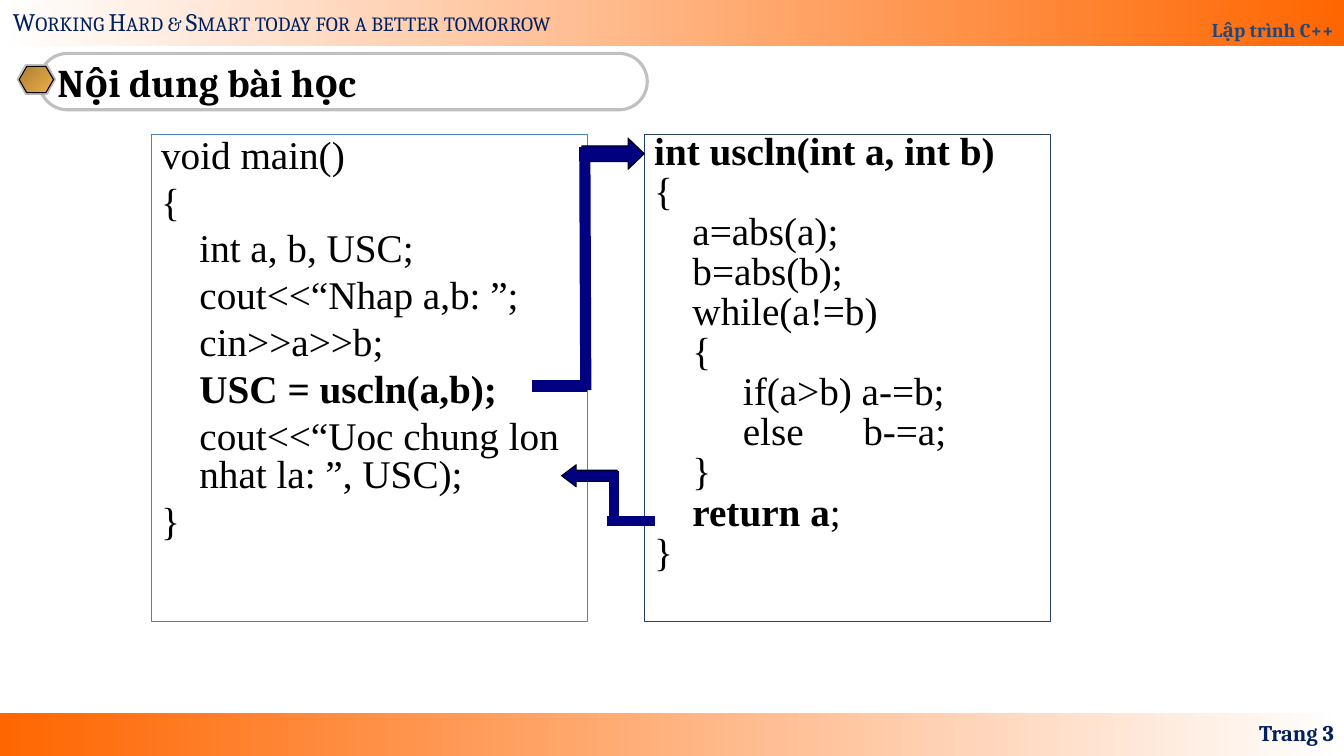
"""Build the slide tracing the call from main() to uscln() and back."""
from lxml import etree
from pptx import Presentation
from pptx.dml.color import RGBColor
from pptx.enum.shapes import MSO_CONNECTOR, MSO_SHAPE
from pptx.enum.text import MSO_ANCHOR, PP_ALIGN
from pptx.oxml.ns import qn
from pptx.util import Inches, Pt

RECT, ROUND, HEXAGON = MSO_SHAPE.RECTANGLE, MSO_SHAPE.ROUNDED_RECTANGLE, MSO_SHAPE.HEXAGON
LEFT_ARROW, RIGHT_ARROW = MSO_SHAPE.LEFT_ARROW, MSO_SHAPE.RIGHT_ARROW
STRAIGHT = MSO_CONNECTOR.STRAIGHT
TOP, MIDDLE, BOTTOM = MSO_ANCHOR.TOP, MSO_ANCHOR.MIDDLE, MSO_ANCHOR.BOTTOM
LEFT, RIGHT = PP_ALIGN.LEFT, PP_ALIGN.RIGHT

WHITE = RGBColor(0xFF, 0xFF, 0xFF)
BLACK = RGBColor(0x00, 0x00, 0x00)
ORANGE = RGBColor(0xFF, 0x66, 0x00)
BLUE = RGBColor(0x1F, 0x49, 0x7D)
DARK_BLUE = RGBColor(0x00, 0x20, 0x60)
NAVY = RGBColor(0x00, 0x00, 0x80)
MAIN_EDGE = RGBColor(0x4F, 0x81, 0xBD)
USCLN_EDGE = RGBColor(0x25, 0x40, 0x61)
SILVER = RGBColor(0xC0, 0xC0, 0xC0)
GRAY = RGBColor(0x80, 0x80, 0x80)
LIGHT_GRAY = RGBColor(0xE6, 0xE6, 0xE6)
STEEL = RGBColor(0x7D, 0x84, 0x96)
BRONZE = RGBColor(0xAB, 0x7E, 0x34)
GOLD = RGBColor(0xEF, 0xB0, 0x49)


def add_box(kind, at, colors=(), angle=0, edge=None, weight=0.75):
    s = slide.shapes.add_shape(kind, *[Inches(v) for v in at])
    s.shadow.inherit = False
    if len(colors) == 2:
        s.fill.gradient()
        s.fill.gradient_angle = angle
        for stop, color in zip(s.fill.gradient_stops, colors):
            stop.color.rgb = color
    elif colors:
        s.fill.solid()
        s.fill.fore_color.rgb = colors[0]
    else:
        s.fill.background()
    if edge is None:
        s.line.fill.background()
    else:
        s.line.color.rgb = edge
        s.line.width = Pt(weight)
    return s


def add_run(p, text, size, font, color, bold=False):
    r = p.add_run()
    r.text = text
    r.font.size = Pt(size)
    r.font.name = font
    r.font.color.rgb = color
    r.font.bold = bold
    return r


prs = Presentation()
prs.slide_width, prs.slide_height = Inches(13.33), Inches(7.5)
slide = prs.slides.add_slide(prs.slide_layouts[6])

add_box(RECT, (0, 7.07, 13.33, 0.43), (ORANGE, WHITE))
header = add_box(RECT, (0, 0, 13.33, 0.46), (WHITE, ORANGE))
motto = slide.shapes.add_textbox(Inches(0.03), Inches(0.01), Inches(5.9), Inches(0.4))
title = add_box(ROUND, (0.39, 0.53, 6.03, 0.56), edge=SILVER, weight=2.25)
title.adjustments[0] = 0.5
page = slide.shapes.add_textbox(Inches(10.22), Inches(7.07), Inches(3.11), Inches(0.4))

labels = [
    (header, "Lập trình C++", 14, BLUE, True, RIGHT, BOTTOM),
    (motto, "Working Hard & Smart today for a better tomorrow", 18, DARK_BLUE, False, LEFT, TOP),
    (title, "Nội dung bài học", 28, BLACK, True, LEFT, MIDDLE),
    (page, "Trang 3", 16, DARK_BLUE, True, RIGHT, MIDDLE),
]
for s, text, size, color, bold, align, anchor in labels:
    tf = s.text_frame
    tf.word_wrap = True
    tf.vertical_anchor = anchor
    p = tf.paragraphs[0]
    p.alignment = align
    add_run(p, text, size, "Cambria", color, bold)
header.text_frame.paragraphs[0].line_spacing = 1.8
motto.text_frame.paragraphs[0].runs[0].font._element.set("cap", "small")

for at, colors, edge in [
    ((0.17, 0.65, 0.38, 0.29), (GRAY,), None),
    ((0.17, 0.64, 0.38, 0.29), (LIGHT_GRAY, STEEL), SILVER),
    ((0.19, 0.66, 0.34, 0.26), (BRONZE, GOLD), BLACK),
]:
    s = add_box(HEXAGON, at, colors, 315, edge)
    s.adjustments[0] = 0.289

main_code = [
    [("void main()", False)],
    [("{", False)],
    [("\tint a, b, USC;", False)],
    [("\tcout<<“Nhap a,b: ”;", False)],
    [("\tcin>>a>>b;", False)],
    [("\tUSC = uscln(a,b);", True)],
    [("\tcout<<“Uoc chung lon nhat la: ”, USC);", False)],
    [("}", False)],
]
uscln_code = [
    [("int uscln(int a, int b)", True)],
    [("{", False)],
    [("\ta=abs(a);", False)],
    [("\tb=abs(b);", False)],
    [("\twhile(a!=b)", False)],
    [("\t{", False)],
    [("\t\tif(a>b) a-=b;", False)],
    [("\t\telse \t  b-=a;", False)],
    [("\t}", False)],
    [("\t", False), ("return a", True), (";", False)],
    [("}", False)],
]
for left, width, edge, code, spacing, before in [
    (1.5, 4.33, MAIN_EDGE, main_code, 0.8, 6.6),
    (6.39, 4.03, USCLN_EDGE, uscln_code, 0.7, 5.1),
]:
    s = add_box(RECT, (left, 1.33, width, 4.84), edge=edge)
    tf = s.text_frame
    tf.word_wrap = True
    tf.vertical_anchor = TOP
    for i, line in enumerate(code):
        p = tf.add_paragraph() if i else tf.paragraphs[0]
        p.alignment = LEFT
        p.line_spacing = spacing
        p.space_before = Pt(before)
        pPr = p._p.get_or_add_pPr()
        pPr.set("marL", str(Inches(0.38)))
        pPr.set("indent", str(-Inches(0.38)))
        for text, bold in line:
            add_run(p, text, 28, "Times New Roman", BLACK, bold)

for kind, at, head in [
    (LEFT_ARROW, (5.57, 4.61, 0.55, 0.22), 0.66),
    (RIGHT_ARROW, (5.77, 1.37, 0.62, 0.31), 0.52),
]:
    s = add_box(kind, at, (NAVY,), edge=BLACK)
    s.adjustments[1] = head

for x1, y1, x2, y2, weight in [
    (6.02, 5.17, 6.5, 5.17, 7.25),
    (6.09, 4.67, 6.09, 5.17, 7.25),
    (5.82, 3.83, 5.28, 3.83, 8),
    (5.8, 1.46, 5.81, 3.87, 8),
]:
    s = slide.shapes.add_connector(STRAIGHT, Inches(x1), Inches(y1), Inches(x2), Inches(y2))
    s.line.color.rgb = NAVY
    s.line.width = Pt(weight)
    etree.SubElement(s._element.spPr, qn("a:effectLst"))

prs.save("out.pptx")
